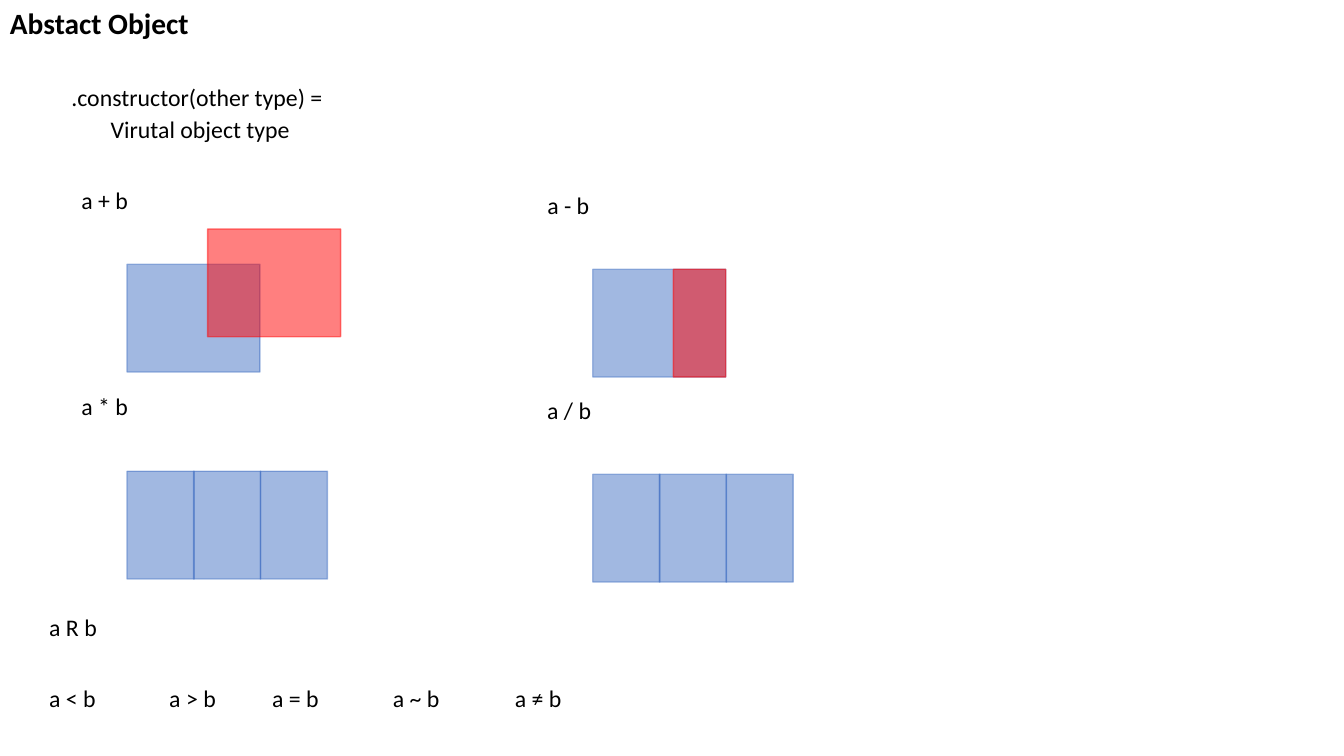
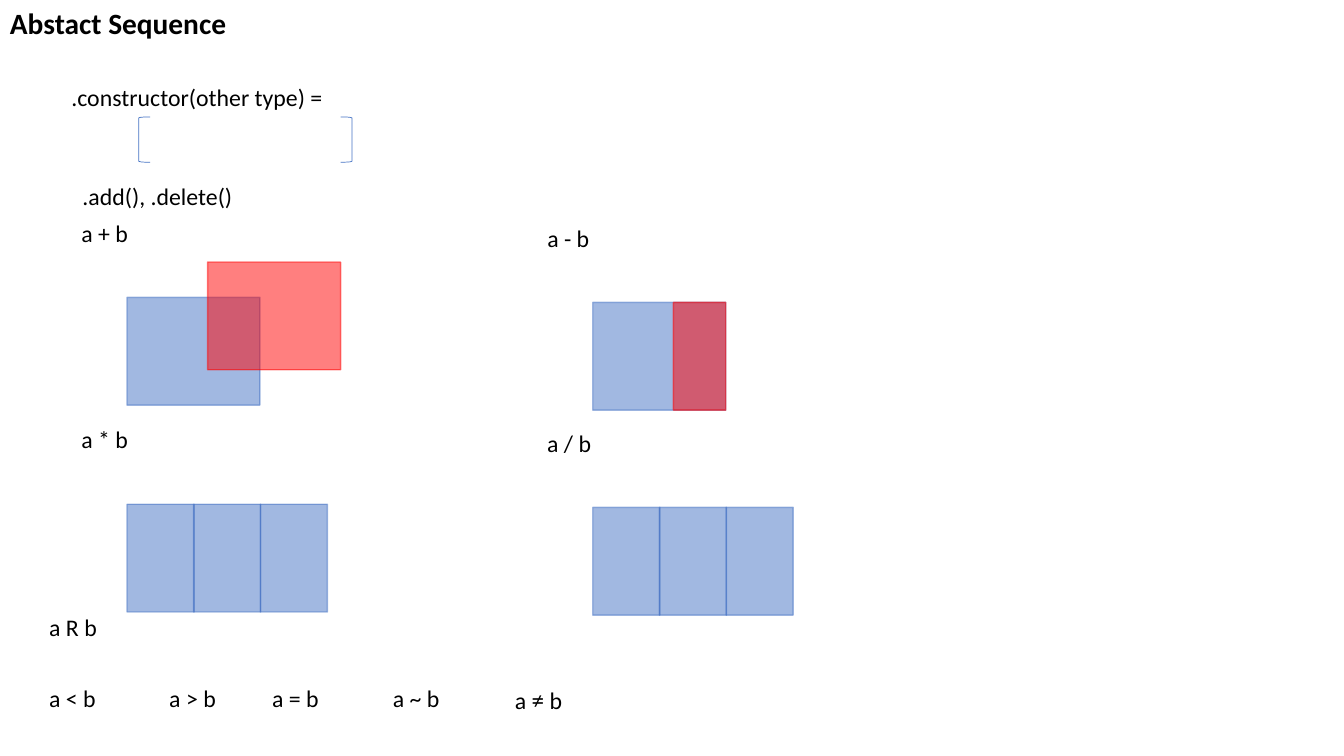
from lxml.etree import SubElement
from pptx import Presentation
from pptx.dml.color import RGBColor
from pptx.enum.shapes import MSO_SHAPE as Preset
from pptx.enum.text import MSO_ANCHOR as Anchor, MSO_AUTO_SIZE as AutoSize
from pptx.oxml.ns import qn
from pptx.util import Pt

BLUE, RED, BLACK = "4472C4", "FF0000", "000000"
LEFT, RIGHT = 51.1, 383.8
INDENT, DROP = 39.6, 60
BLOCK_WIDTH, BLOCK_HEIGHT = 95, 77
CELL_WIDTH, CELL_PITCH = 48, 47.6
OVERLAP_X, OVERLAP_RISE = 57.6, 25.2
RELATIONS = [("a < b", 28), ("a > b", 113.8), ("a = b", 187.3), ("a ~ b", 273.6)]


def paint(fill, color, opacity=100):
    fill.solid()
    fill.fore_color.rgb = RGBColor.from_string(color)
    if opacity < 100:
        for node in fill._xPr.iter(qn("a:srgbClr")):
            if node.getparent().getparent() is fill._xPr:
                SubElement(node, qn("a:alpha"), val=str(opacity * 1000))


def apply_format(target, values):
    for name, value in values.items():
        setattr(target, name, value)


class Sketch:
    body = {"name": "Calibri", "size": Pt(17), "bold": False}
    title_style = {"size": Pt(21), "bold": True}
    frame_style = {"auto_size": AutoSize.SHAPE_TO_FIT_TEXT, "vertical_anchor": Anchor.TOP}

    def __init__(self):
        self.deck = Presentation()
        apply_format(self.deck, {"slide_width": Pt(960), "slide_height": Pt(540)})

    def new_page(self, title, title_width):
        self.page = self.deck.slides.add_slide(self.deck.slide_layouts[6])
        self.target = self.page.shapes
        self.text([(title, self.title_style)], 0, 0, title_width, 32.4, wrap=True)

    def text(self, runs, left, top, width=48.2, height=28, wrap=False):
        box = self.target.add_textbox(Pt(left), Pt(top), Pt(width), Pt(height))
        apply_format(box.text_frame, {**self.frame_style, "word_wrap": wrap})
        para = box.text_frame.paragraphs[0]
        for words, style in runs:
            span = para.add_run()
            span.text = words
            apply_format(span.font, {**self.body, **style})
            paint(span.font.fill, BLACK)

    def label(self, words, left, top, width=48.2):
        self.text([(words, {})], left, top, width)

    def block(self, color, left, top, width):
        box = self.target.add_shape(
            Preset.RECTANGLE, Pt(left), Pt(top), Pt(width), Pt(BLOCK_HEIGHT))
        box.shadow.inherit = False
        paint(box.fill, color, 50)
        paint(box.line.fill, color, 50)
        box.line.width = Pt(1)

    def bracket(self, preset, left, top):
        box = self.target.add_shape(preset, Pt(left), Pt(top), Pt(8), Pt(32.4))
        box.shadow.inherit = False
        box.fill.background()
        paint(box.line.fill, BLUE)
        box.line.width = Pt(0.5)

    def operation(self, words, left, top, blocks, label_width):
        self.target = self.page.shapes.add_group_shape().shapes
        self.label(words, left, top, label_width)
        for color, across, rise, width in blocks:
            self.block(color, left + INDENT + across, top + DROP - rise, width)
        self.target = self.page.shapes

    def operations(self, top):
        whole = (BLUE, 0, 0, BLOCK_WIDTH)
        added = (RED, OVERLAP_X, OVERLAP_RISE, BLOCK_WIDTH)
        removed = (RED, OVERLAP_X, 0, BLOCK_WIDTH - OVERLAP_X)
        cells = [(BLUE, index * CELL_PITCH, 0, CELL_WIDTH) for index in range(3)]
        self.operation("a + b", LEFT, top, [whole, added], 48.2)
        self.operation("a - b", RIGHT, top + 3.6, [whole, removed], 44.6)
        self.operation("a * b", LEFT, top + 147.8, cells, 48.2)
        self.operation("a / b", RIGHT, top + 150, cells, 46.1)

    def relations(self, sign_size):
        self.label("a R b", 28, 434.2, 49)
        for words, left in RELATIONS:
            self.label(words, left, 485)
        sign = [("a ", {}), ("≠", {"size": Pt(sign_size)}), (" b", {})]
        self.text(sign, 360.7, 485)

    def content(self, title, title_width, operations_top, sign_size):
        self.new_page(title, title_width)
        self.label(".constructor(other type) =", 43.9, 55.4, 199.4)
        self.operations(operations_top)
        self.relations(sign_size)


def main():
    sketch = Sketch()
    sketch.content("Abstact Object", 148.3, 128.8, 17)
    sketch.label("Virutal object type", 72, 78.5, 144)

    sketch.content("Abstact Sequence", 172.1, 152.4, 18)
    sketch.bracket(Preset.LEFT_BRACKET, 99.2, 83.5)
    sketch.bracket(Preset.RIGHT_BRACKET, 243.4, 83.5)
    sketch.label(".add(), .delete()", 51.8, 126, 122.4)
    sketch.deck.save("out.pptx")


if __name__ == "__main__":
    main()
